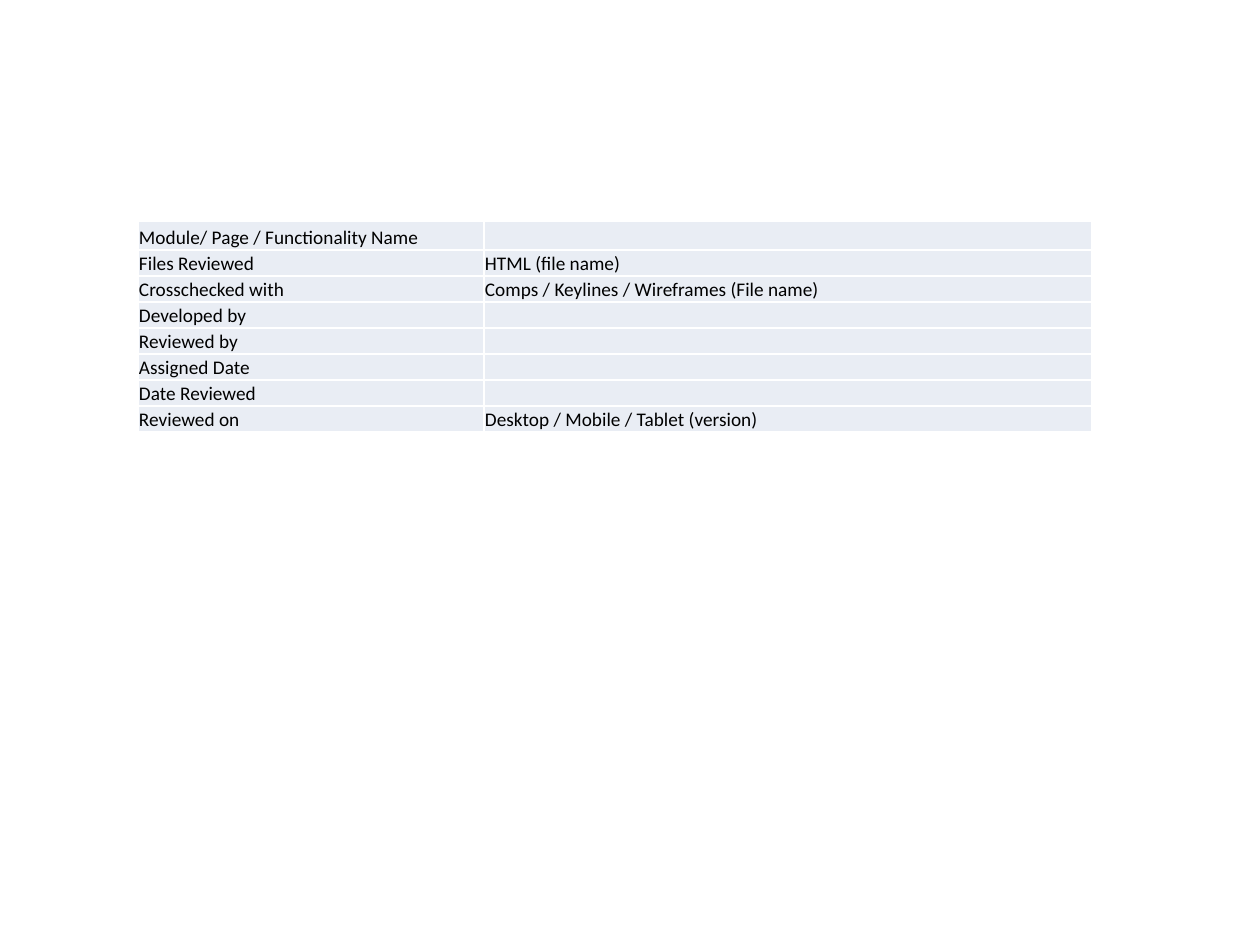
from pptx import Presentation
from pptx.dml.color import RGBColor
from pptx.enum.text import MSO_ANCHOR
from pptx.oxml.ns import qn
from pptx.util import Pt
from lxml.etree import SubElement

PX = 914400 // 126
COLORS = {"cell": "E9EDF4", "border": "FFFFFF", "text": "000000"}


def set_text(cell, text, size=11, font="Calibri", color="text"):
    p = cell.text_frame.paragraphs[0]
    if not text:
        # Keeps the line height of an empty cell small
        SubElement(p._p, qn("a:endParaRPr"), sz=str(size * 100))
        return
    r = p.add_run()
    r.text = text
    r.font.size = Pt(size)
    r.font.name = font
    r.font.color.rgb = RGBColor.from_string(COLORS[color])


def set_borders(cell, color="border", width=1):
    tc_pr = cell._tc.get_or_add_tcPr()
    for i, side in enumerate(("lnL", "lnR", "lnT", "lnB")):
        ln = SubElement(tc_pr, qn(f"a:{side}"), w=str(Pt(width)))
        fill = SubElement(ln, qn("a:solidFill"))
        SubElement(fill, qn("a:srgbClr"), val=COLORS[color])
        tc_pr.insert(i, ln)


prs = Presentation()
prs.slide_width, prs.slide_height = 1260 * PX, 945 * PX
s = prs.slides.add_slide(prs.slide_layouts[6])

# Review details
details = [
    ("Module/ Page / Functionality Name", ""),
    ("Files Reviewed", "HTML (file name)"),
    ("Crosschecked with", "Comps / Keylines / Wireframes (File name)"),
    ("Developed by", ""),
    ("Reviewed by", ""),
    ("Assigned Date", ""),
    ("Date Reviewed", ""),
    ("Reviewed on", "Desktop / Mobile / Tablet (version)"),
]
col_widths = [346, 608]
row_heights = [29] + [26] * (len(details) - 1)

# Table grid
table = s.shapes.add_table(len(details), len(col_widths), 138 * PX, 221 * PX,
                           sum(col_widths) * PX, sum(row_heights) * PX).table
table.first_row = False
table.horz_banding = False
for col, width in zip(table.columns, col_widths):
    col.width = width * PX
for row, height in zip(table.rows, row_heights):
    row.height = height * PX

# Cells
for row, texts in zip(table.rows, details):
    for cell, text in zip(row.cells, texts):
        cell.margin_left = cell.margin_right = cell.margin_top = PX
        cell.margin_bottom = 0
        cell.vertical_anchor = MSO_ANCHOR.BOTTOM
        cell.fill.solid()
        cell.fill.fore_color.rgb = RGBColor.from_string(COLORS["cell"])
        set_borders(cell)
        set_text(cell, text)

prs.save("out.pptx")
